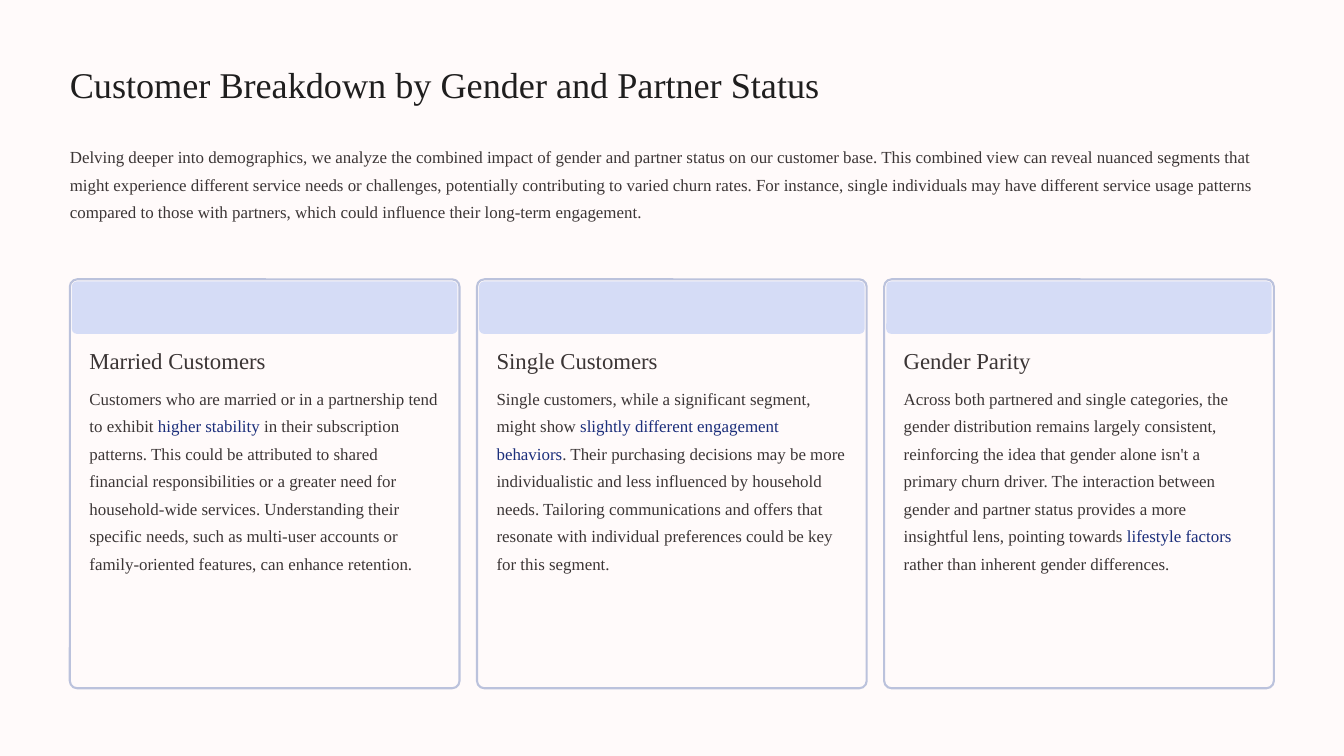
from pptx import Presentation
from pptx.dml.color import RGBColor
from pptx.enum.shapes import MSO_SHAPE as Shape
from pptx.util import Cm, Pt

FONT = "Times New Roman"
PAPER, INK, BODY = "FFFAFA", "1F1E1E", "3B3535"
ACCENT, BORDER, BAND = "1A2D7A", "BBC2DC", "D5DCF6"

MARGIN = 2.64
CARD_TOP, CARD_WIDTH, CARD_HEIGHT, CARD_GAP = 10.56, 14.73, 15.46, 0.66

TITLE = "Customer Breakdown by Gender and Partner Status"
INTRO = (
    "Delving deeper into demographics, we analyze the combined impact of gender and "
    "partner status on our customer base. This combined view can reveal nuanced segments "
    "that might experience different service needs or challenges, potentially contributing "
    "to varied churn rates. For instance, single individuals may have different service "
    "usage patterns compared to those with partners, which could influence their long-term "
    "engagement."
)
# Each card: heading, then text before, inside and after the highlight.
CARDS = [
    ("Married Customers",
     "Customers who are married or in a partnership tend to exhibit ",
     "higher stability",
     " in their subscription patterns. This could be attributed to shared financial "
     "responsibilities or a greater need for household-wide services. Understanding their "
     "specific needs, such as multi-user accounts or family-oriented features, can enhance "
     "retention."),
    ("Single Customers",
     "Single customers, while a significant segment, might show ",
     "slightly different engagement behaviors",
     ". Their purchasing decisions may be more individualistic and less influenced by "
     "household needs. Tailoring communications and offers that resonate with individual "
     "preferences could be key for this segment."),
    ("Gender Parity",
     "Across both partnered and single categories, the gender distribution remains largely "
     "consistent, reinforcing the idea that gender alone isn't a primary churn driver. The "
     "interaction between gender and partner status provides a more insightful lens, "
     "pointing towards ",
     "lifestyle factors",
     " rather than inherent gender differences."),
]


def color(value):
    return RGBColor.from_string(value)


def add_text(page, left, top, width, height, size, spacing, runs):
    """Add one paragraph made of (text, colour) runs."""
    box = page.shapes.add_textbox(Cm(left), Cm(top), Cm(width), Cm(height))
    frame = box.text_frame
    frame.word_wrap = True
    frame.margin_left = frame.margin_top = frame.margin_right = frame.margin_bottom = 0
    para = frame.paragraphs[0]
    para.line_spacing = Pt(spacing)
    for text, ink in runs:
        span = para.add_run()
        span.text = text
        span.font.name = FONT
        span.font.size = Pt(size)
        span.font.color.rgb = color(ink)


def add_rounded(page, left, top, width, height, radius, fill, line=None):
    box = page.shapes.add_shape(
        Shape.ROUNDED_RECTANGLE, Cm(left), Cm(top), Cm(width), Cm(height))
    box.adjustments[0] = radius / min(width, height)
    box.shadow.inherit = False
    box.fill.solid()
    box.fill.fore_color.rgb = color(fill)
    if line:
        box.line.color.rgb = color(line)
        box.line.width = Pt(2.25)
    else:
        box.line.fill.background()


def add_header(page, left, width):
    add_text(page, left, 2.26, width, 2.03, 38.8, 48.8, [(TITLE, INK)])
    add_text(page, left, 5.28, width, 4.52, 18.1, 29.4, [(INTRO, BODY)])


def add_card(page, left, top, width, height, card):
    heading, before, highlight, after = card
    inset, padding = 0.08, 0.74
    add_rounded(page, left, top, width, height, 0.28, PAPER, BORDER)
    add_rounded(page, left + inset, top + inset, width - 2 * inset, 1.98, 0.18, BAND)
    text_left, text_width = left + padding, width - 2 * padding
    add_text(page, text_left, top + 2.51, text_width, 1.27, 24.4, 30.6, [(heading, BODY)])
    add_text(page, text_left, top + 3.86, text_width, 10.85, 18.1, 29.4,
             [(before, BODY), (highlight, ACCENT), (after, BODY)])


def main():
    deck = Presentation()
    deck.slide_width, deck.slide_height = Cm(50.8), Cm(28.58)
    page = deck.slides.add_slide(deck.slide_layouts[6])
    page.background.fill.solid()
    page.background.fill.fore_color.rgb = color(PAPER)

    add_header(page, MARGIN, 50.8 - 2 * MARGIN)
    for index, card in enumerate(CARDS):
        left = MARGIN + index * (CARD_WIDTH + CARD_GAP)
        add_card(page, left, CARD_TOP, CARD_WIDTH, CARD_HEIGHT, card)
    deck.save("out.pptx")


if __name__ == "__main__":
    main()
